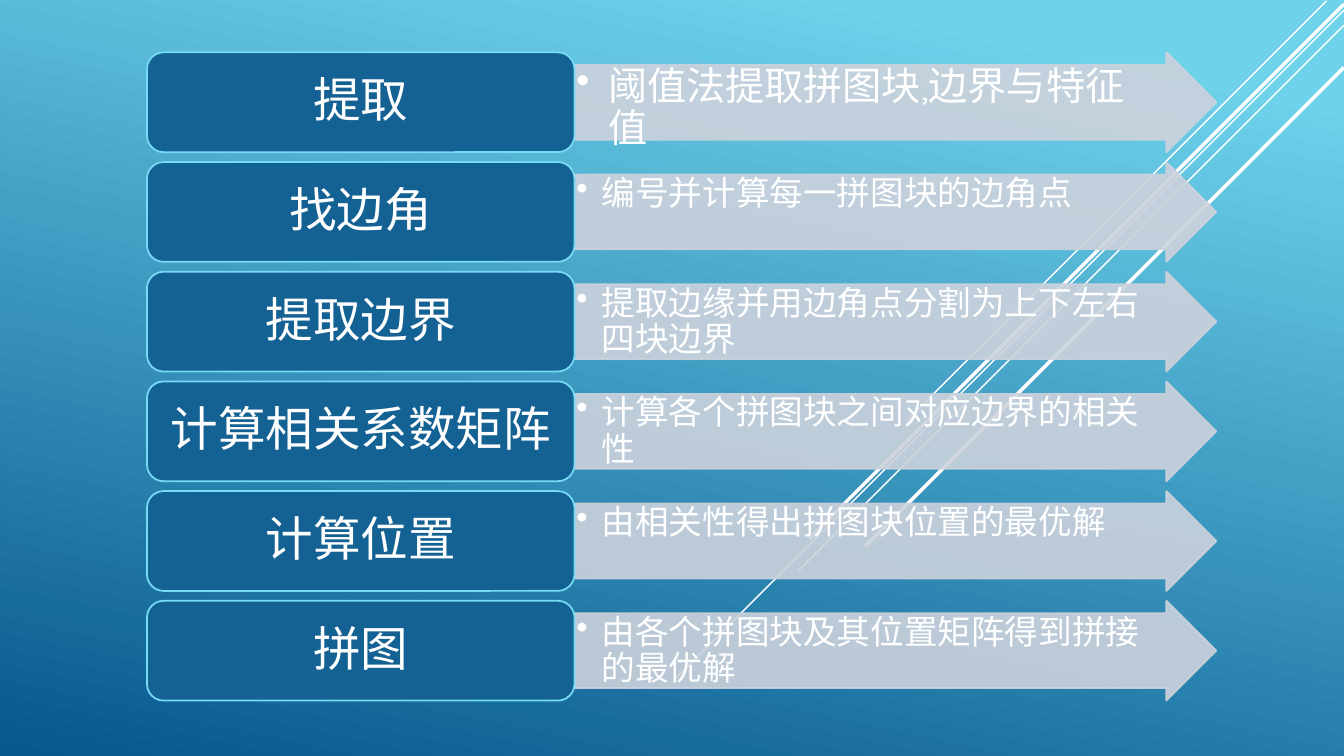
from lxml.etree import SubElement
from pptx import Presentation
from pptx.dml.color import RGBColor
from pptx.enum.shapes import MSO_CONNECTOR as Connector, MSO_SHAPE as Shape
from pptx.enum.text import MSO_ANCHOR as Anchor, PP_ALIGN as Align
from pptx.oxml.ns import qn
from pptx.util import Pt

STEPS = [
    ("提取", "阈值法提取拼图块,边界与特征值", 28, 22.5),
    ("找边角", "编号并计算每一拼图块的边角点", 24, 18),
    ("提取边界", "提取边缘并用边角点分割为上下左右四块边界", 24, 18),
    ("计算相关系数矩阵", "计算各个拼图块之间对应边界的相关性", 24, 18),
    ("计算位置", "由相关性得出拼图块位置的最优解", 24, 18),
    ("拼图", "由各个拼图块及其位置矩阵得到拼接的最优解", 24, 18),
]
RAYS = [
    (947.5, 0.7, 300, 1),
    (960, 7.2, 479, 1),
    (960, 18, 390.4, 1),
    (960, 2.9, 382, 2.5),
    (960, 48.2, 342, 2.5),
]
COLORS = {
    "sky": "6ED2EB",
    "deep": "06588E",
    "white": "FFFFFF",
    "arrow": "CCD2DC",
    "step": "146194",
    "border": "76DBF4",
}
FONT = "Quicksand"
TOP, PITCH, HEIGHT = 37.4, 78.35, 71.3
STEP_LEFT, STEP_WIDTH = 105, 305.4
ARROW_LEFT, ARROW_WIDTH = STEP_LEFT + STEP_WIDTH, 458.4


def color(name):
    return RGBColor.from_string(COLORS[name])


def set_alpha(fill_owner, percent):
    for node in fill_owner.iter(qn("a:srgbClr")):
        SubElement(node, qn("a:alpha"), val=str(percent * 1000))


def add_ray(slide, x, y, run, width):
    ray = slide.shapes.add_connector(
        Connector.STRAIGHT, Pt(x), Pt(y), Pt(x - run), Pt(y + run))
    ray.line.color.rgb = color("white")
    ray.line.width = Pt(width)
    SubElement(ray._element.spPr, qn("a:effectLst"))


def add_panel(slide, kind, left, top, width, fill, border):
    panel = slide.shapes.add_shape(kind, Pt(left), Pt(top), Pt(width), Pt(HEIGHT))
    panel.shadow.inherit = False
    panel.fill.solid()
    panel.fill.fore_color.rgb = color(fill)
    panel.line.color.rgb = color(border)
    panel.line.width = Pt(1.25)
    return panel


def write(panel, text, size, align, anchor, margins):
    frame = panel.text_frame
    frame.word_wrap = True
    frame.vertical_anchor = anchor
    frame.margin_left, frame.margin_top, frame.margin_right, frame.margin_bottom = map(Pt, margins)
    para = frame.paragraphs[0]
    para.text = text
    para.alignment = align
    para.line_spacing = 0.9
    para.font.name = FONT
    para.font.size = Pt(size)
    para.font.color.rgb = color("white")
    return para


def add_bullet(para, indent):
    properties = para._p.get_or_add_pPr()
    properties.set("marL", str(Pt(indent)))
    properties.set("indent", str(-Pt(indent)))
    bullet = properties.makeelement(qn("a:buChar"), {"char": "•"})
    properties.find(qn("a:defRPr")).addprevious(bullet)


def main():
    deck = Presentation()
    deck.slide_width, deck.slide_height = Pt(960), Pt(540)
    slide = deck.slides.add_slide(deck.slide_layouts[6])

    backdrop = slide.background.fill
    backdrop.gradient()
    backdrop.gradient_angle = 258
    for stop, name, position in zip(backdrop.gradient_stops, ("sky", "deep"), (0.1, 1)):
        stop.color.rgb = color(name)
        stop.position = position

    for ray in RAYS:
        add_ray(slide, *ray)

    for row, (name, detail, size, indent) in enumerate(STEPS):
        top = TOP + row * PITCH
        arrow = add_panel(slide, Shape.RIGHT_ARROW, ARROW_LEFT, top, ARROW_WIDTH, "arrow", "arrow")
        arrow.adjustments[0] = 0.75
        arrow.adjustments[1] = 0.5
        set_alpha(arrow._element.spPr, 90)
        para = write(arrow, detail, size, Align.LEFT, Anchor.TOP, (1.4, 1.4, 19.4, 1.4))
        add_bullet(para, indent)

        step = add_panel(slide, Shape.ROUNDED_RECTANGLE, STEP_LEFT, top, STEP_WIDTH, "step", "border")
        write(step, name, 34, Align.CENTER, Anchor.MIDDLE, (10, 5, 10, 5))

    deck.save("out.pptx")


if __name__ == "__main__":
    main()
